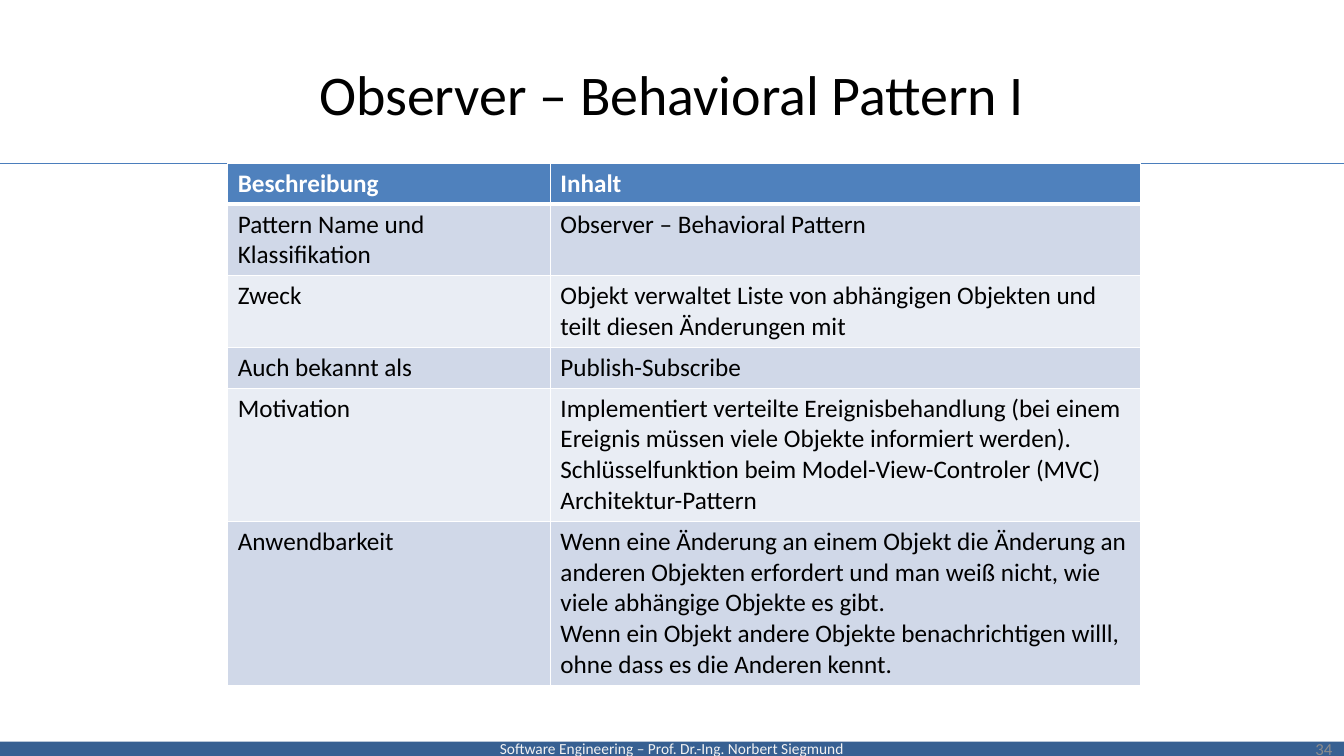
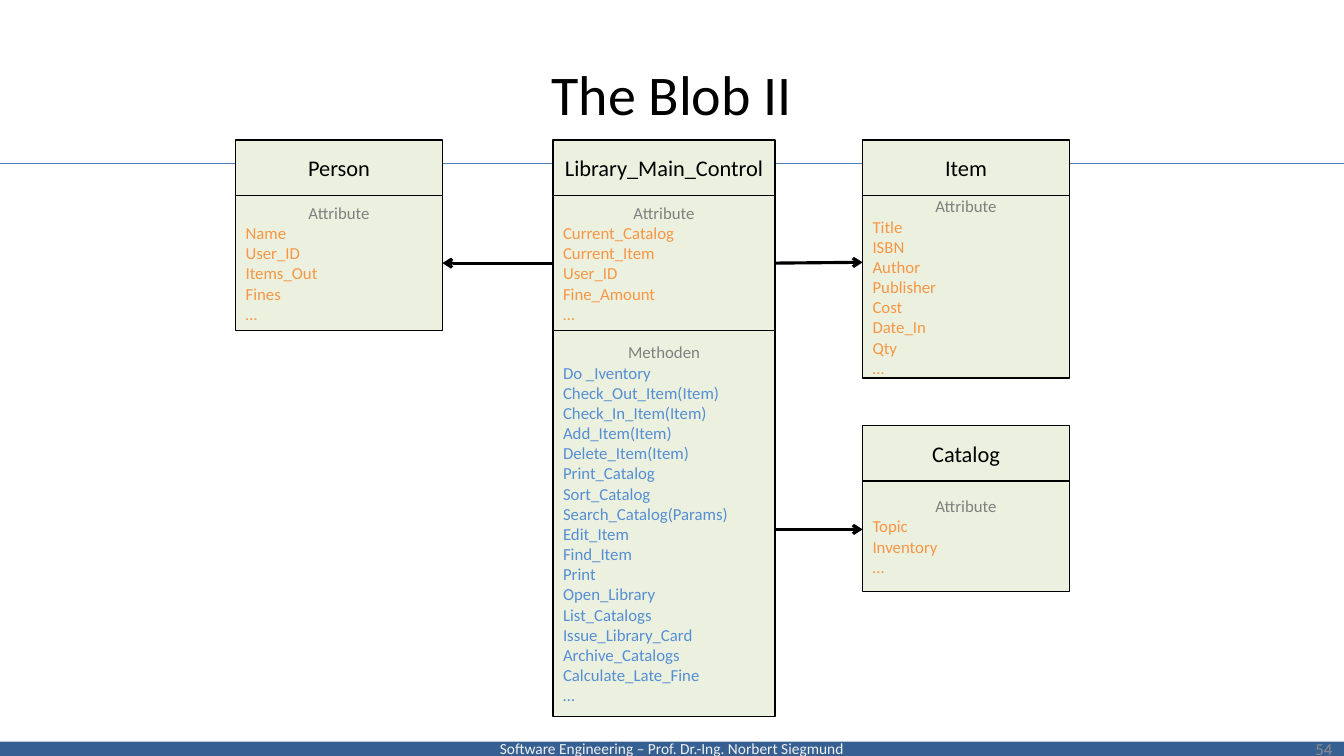
from lxml import etree
from pptx import Presentation
from pptx.dml.color import RGBColor
from pptx.enum.shapes import MSO_CONNECTOR, MSO_SHAPE
from pptx.enum.text import MSO_ANCHOR, PP_ALIGN
from pptx.oxml.ns import qn
from pptx.util import Cm, Pt

STRAIGHT = MSO_CONNECTOR.STRAIGHT
RECTANGLE = MSO_SHAPE.RECTANGLE
MIDDLE = MSO_ANCHOR.MIDDLE
LEFT, CENTER, RIGHT = PP_ALIGN.LEFT, PP_ALIGN.CENTER, PP_ALIGN.RIGHT
SIDE_LEFT, SIDE_RIGHT = 1, 3

FONT = "Calibri"
COLORS = {
    "band": "376092",
    "band_text": "F2F2F2",
    "rule": "4B7EBC",
    "text": "000000",
    "number": "8C8C8C",
    "white": "FFFFFF",
    "table_header": "4F81BD",
    "row_dark": "D0D8E8",
    "row_light": "E9EDF4",
    "class_fill": "EBF1DE",
    "heading": "808080",
    "attribute": "F79646",
    "method": "558ED5",
}
WIDTH, HEIGHT = 33.87, 19.05
BAND_HEIGHT = 0.36
RULE_TOP = 4.11
FOOTER = "Software Engineering – Prof. Dr.-Ing. Norbert Siegmund"

TABLE_LEFT = 5.74
COLUMN_WIDTHS = (8.13, 14.88)
LINE_HEIGHT, CELL_PADDING = 0.775, 0.255
PATTERN_ROWS = [
    (1, "Beschreibung", ["Inhalt"]),
    (2, "Pattern Name und Klassifikation", ["Observer – Behavioral Pattern"]),
    (2, "Zweck", ["Objekt verwaltet Liste von abhängigen Objekten und teilt diesen Änderungen mit"]),
    (1, "Auch bekannt als", ["Publish-Subscribe"]),
    (4, "Motivation", [
        "Implementiert verteilte Ereignisbehandlung (bei einem Ereignis müssen viele Objekte informiert werden).",
        "Schlüsselfunktion beim Model-View-Controler (MVC) Architektur-Pattern",
    ]),
    (5, "Anwendbarkeit", [
        "Wenn eine Änderung an einem Objekt die Änderung an anderen Objekten erfordert und man weiß nicht, "
        "wie viele abhängige Objekte es gibt.",
        "Wenn ein Objekt andere Objekte benachrichtigen willl, ohne dass es die Anderen kennt.",
    ]),
]

CLASS_TOP, CLASS_NAME_HEIGHT = 3.53, 1.4
PERSON_LEFT, CONTROL_LEFT, ITEM_LEFT = 5.94, 13.94, 21.74
CLASS_WIDTH, CONTROL_WIDTH = 5.21, 5.59
CATALOG_TOP = 10.72
PERSON = ["Name", "User_ID", "Items_Out", "Fines", "…"]
CONTROL = ["Current_Catalog", "Current_Item", "User_ID", "Fine_Amount", "…"]
CONTROL_METHODS = [
    "Do _Iventory", "Check_Out_Item(Item)", "Check_In_Item(Item)", "Add_Item(Item)",
    "Delete_Item(Item)", "Print_Catalog", "Sort_Catalog", "Search_Catalog(Params)",
    "Edit_Item", "Find_Item", "Print", "Open_Library", "List_Catalogs",
    "Issue_Library_Card", "Archive_Catalogs", "Calculate_Late_Fine", "…",
]
ITEM = ["Title", "ISBN", "Author", "Publisher", "Cost", "Date_In", "Qty", "…"]
CATALOG = ["Topic", "Inventory", "…"]


def color(name):
    """Return the named colour."""
    return RGBColor.from_string(COLORS[name])


def write(text_frame, lines, size, color_name="text", alignment=LEFT, bold=False, start=0):
    """Write one paragraph per line, beginning at paragraph number start."""
    text_frame.word_wrap = True
    for index, line in enumerate(lines, start):
        paragraph = text_frame.add_paragraph() if index else text_frame.paragraphs[0]
        paragraph.alignment = alignment
        run = paragraph.add_run()
        run.text = line
        run.font.name = FONT
        run.font.size = Pt(size)
        run.font.bold = bold
        run.font.color.rgb = color(color_name)


def add_box(slide, left, top, width, height, fill, line=None):
    """Add a flat rectangle with centred text anchoring."""
    shape = slide.shapes.add_shape(RECTANGLE, Cm(left), Cm(top), Cm(width), Cm(height))
    shape.shadow.inherit = False
    shape.fill.solid()
    shape.fill.fore_color.rgb = color(fill)
    if line:
        shape.line.color.rgb = color(line)
        shape.line.width = Pt(1)
    else:
        shape.line.fill.background()
    shape.text_frame.vertical_anchor = MIDDLE
    return shape


def add_line(slide, start, end, color_name, width):
    """Add a straight line without shadow between two points."""
    connector = slide.shapes.add_connector(STRAIGHT, *map(Cm, start + end))
    connector.line.color.rgb = color(color_name)
    connector.line.width = Pt(width)
    etree.SubElement(connector.element.spPr, qn("a:effectLst"))
    return connector


def add_arrow(slide, start, end):
    """Add an association arrow with an open head at its end."""
    connector = add_line(slide, start, end, "text", 2.25)
    line = connector.element.spPr.find(qn("a:ln"))
    etree.SubElement(line, qn("a:tailEnd"), type="arrow")
    return connector


def move_frame_to_layout(slide):
    """Draw the footer band and title rule and hand them to the slide's layout."""
    layout = slide.slide_layout
    for placeholder in list(layout.placeholders)[1:]:
        layout.shapes.element.remove(placeholder.element)
    band = add_box(slide, 0, HEIGHT - BAND_HEIGHT, WIDTH, BAND_HEIGHT, "band")
    band.text_frame.margin_top = band.text_frame.margin_bottom = 0
    write(band.text_frame, [FOOTER], 11, "band_text", CENTER)
    rule = add_line(slide, (0, RULE_TOP), (WIDTH, RULE_TOP), "rule", 0.75)
    for shape in (band, rule):
        layout.shapes.element.append(shape.element)


def add_slide(presentation, title, number):
    """Add a slide with its title and number."""
    slide = presentation.slides.add_slide(presentation.slide_layouts[5])
    placeholder = slide.shapes.title
    placeholder.left, placeholder.top = Cm(1.69), Cm(0.76)
    placeholder.width, placeholder.height = Cm(30.48), Cm(3.18)
    placeholder.text_frame.vertical_anchor = MIDDLE
    write(placeholder.text_frame, [title], 40, alignment=CENTER)
    if number == 34:
        move_frame_to_layout(slide)
    number_box = slide.shapes.add_textbox(Cm(25.93), Cm(18.36), Cm(7.9), Cm(1.02))
    number_box.text_frame.vertical_anchor = MIDDLE
    write(number_box.text_frame, [str(number)], 12, "number", RIGHT)
    return slide


def set_borders(cell, top, bottom):
    """Give a cell white borders, with the top and bottom widths in points."""
    properties = cell._tc.get_or_add_tcPr()
    for tag, width in (("lnL", 1), ("lnR", 1), ("lnT", top), ("lnB", bottom)):
        line = etree.SubElement(properties, qn(f"a:{tag}"), w=str(Pt(width)))
        fill = etree.SubElement(line, qn("a:solidFill"))
        etree.SubElement(fill, qn("a:srgbClr"), val=COLORS["white"])


def add_pattern_table(slide):
    """Add the table that describes the pattern."""
    heights = [CELL_PADDING + LINE_HEIGHT * row[0] for row in PATTERN_ROWS]
    table = slide.shapes.add_table(
        len(PATTERN_ROWS), len(COLUMN_WIDTHS), Cm(TABLE_LEFT), Cm(RULE_TOP),
        Cm(sum(COLUMN_WIDTHS)), Cm(sum(heights)),
    ).table
    table.horz_banding = False
    for column, width in zip(table.columns, COLUMN_WIDTHS):
        column.width = Cm(width)
    for index, (_, label, content) in enumerate(PATTERN_ROWS):
        table.rows[index].height = Cm(heights[index])
        header = index == 0
        fill = "table_header" if header else ("row_light", "row_dark")[index % 2]
        for cell, lines in zip(table.rows[index].cells, ([label], content)):
            set_borders(cell, 3 if index == 1 else 1, 3 if header else 1)
            cell.fill.solid()
            cell.fill.fore_color.rgb = color(fill)
            write(cell.text_frame, lines, 18, "white" if header else "text", bold=header)


def add_compartment(slide, left, top, width, height, heading, members, color_name):
    """Add a class compartment with a heading and its members."""
    box = add_box(slide, left, top, width, height, "class_fill", "text")
    write(box.text_frame, [heading], 12, "heading", CENTER)
    write(box.text_frame, members, 12, color_name, start=1)
    return box


def add_class(slide, name, left, top, width, height, attributes):
    """Add a class name with its attributes below and return the attribute box."""
    name_box = add_box(slide, left, top, width, CLASS_NAME_HEIGHT, "class_fill", "text")
    write(name_box.text_frame, [name], 16, alignment=CENTER)
    return add_compartment(slide, left, top + CLASS_NAME_HEIGHT, width, height,
                           "Attribute", attributes, "attribute")


def add_blob_diagram(slide):
    """Add the class diagram around the main control class."""
    attribute_height = 3.4
    person = add_class(slide, "Person", PERSON_LEFT, CLASS_TOP, CLASS_WIDTH,
                       attribute_height, PERSON)
    control = add_class(slide, "Library_Main_Control", CONTROL_LEFT, CLASS_TOP,
                        CONTROL_WIDTH, attribute_height, CONTROL)
    add_class(slide, "Item", ITEM_LEFT, CLASS_TOP, CLASS_WIDTH, 4.6, ITEM)
    add_class(slide, "Catalog", ITEM_LEFT, CATALOG_TOP, CLASS_WIDTH, 2.79, CATALOG)
    add_compartment(slide, CONTROL_LEFT, CLASS_TOP + CLASS_NAME_HEIGHT + attribute_height,
                    CONTROL_WIDTH, 9.73, "Methoden", CONTROL_METHODS, "method")

    control_right = CONTROL_LEFT + CONTROL_WIDTH
    link_top, catalog_link_top = 6.61, 13.34
    item_arrow = add_arrow(slide, (control_right, link_top), (ITEM_LEFT, link_top))
    item_arrow.begin_connect(control, SIDE_RIGHT)
    add_arrow(slide, (control_right, catalog_link_top), (ITEM_LEFT, catalog_link_top))
    person_arrow = add_arrow(slide, (CONTROL_LEFT, link_top),
                             (PERSON_LEFT + CLASS_WIDTH, link_top))
    person_arrow.begin_connect(control, SIDE_LEFT)
    person_arrow.end_connect(person, SIDE_RIGHT)


def main():
    """Build and save the presentation."""
    presentation = Presentation()
    presentation.slide_width, presentation.slide_height = Cm(WIDTH), Cm(HEIGHT)
    add_pattern_table(add_slide(presentation, "Observer – Behavioral Pattern I", 34))
    add_blob_diagram(add_slide(presentation, "The Blob II", 54))
    presentation.save("out.pptx")


if __name__ == "__main__":
    main()
